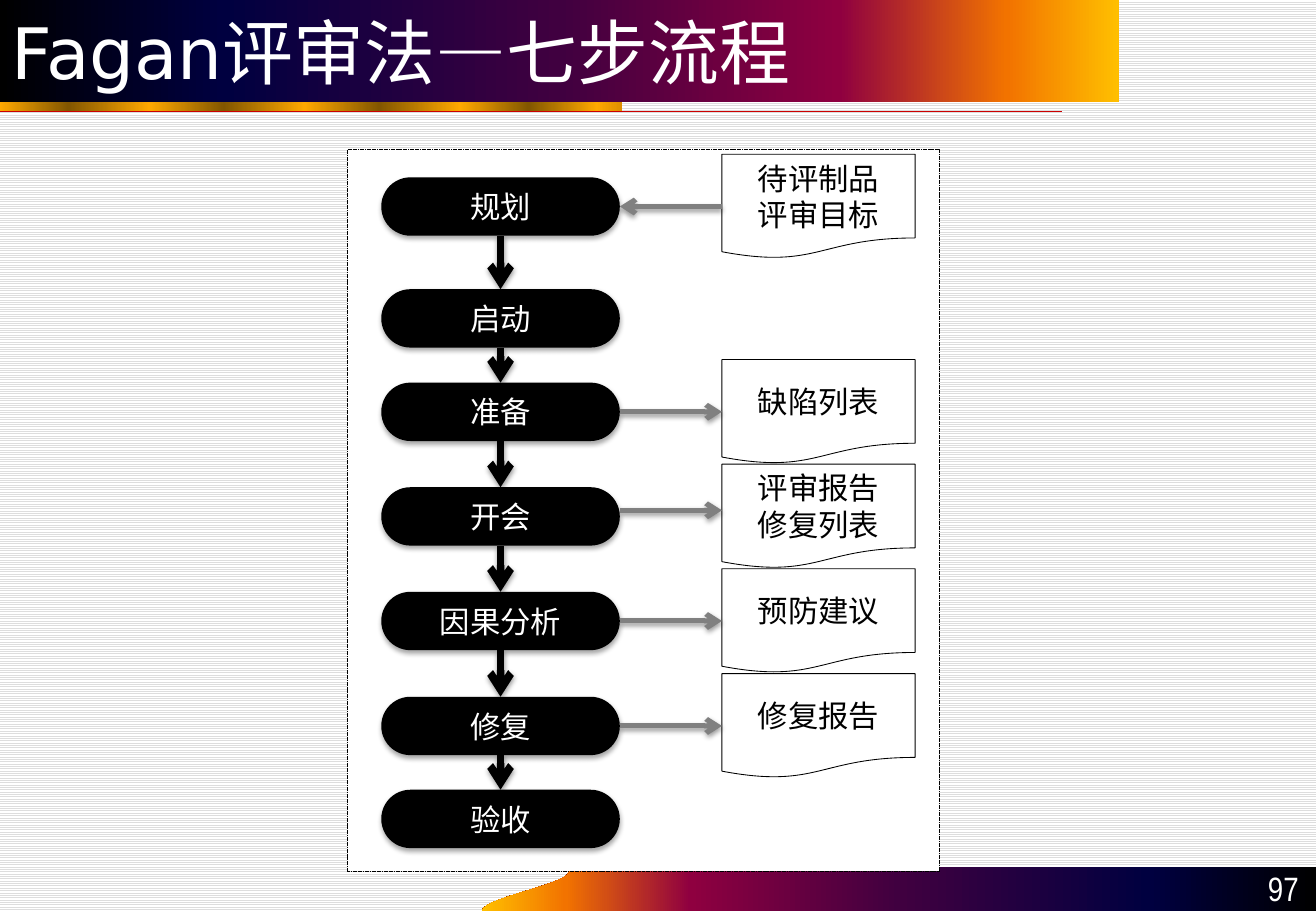
import pptx
import pptx.dml.color
import pptx.enum.dml
import pptx.enum.shapes
import pptx.enum.text
import pptx.oxml
import pptx.oxml.ns
import pptx.util
from dataclasses import dataclass

Pt = pptx.util.Pt
SHAPES = pptx.enum.shapes.MSO_SHAPE
ALIGN = pptx.enum.text.PP_ALIGN
ANCHOR = pptx.enum.text.MSO_ANCHOR
DASH = pptx.enum.dml.MSO_LINE
NS = pptx.oxml.ns.nsdecls("a")
TOP, LEFT, BOTTOM, RIGHT = range(4)


@dataclass(frozen=True)
class Theme:
    black: str = "000000"
    white: str = "FFFFFF"
    gray: str = "808080"
    red: str = "CC0000"
    stripe: str = "DDDDDD"
    sunset: tuple = ((0, "000000"), (20, "000040"), (50, "400040"),
                     (75, "8F0040"), (90, "F27300"), (100, "FFBF00"))
    gold: tuple = ((0, "FFA800"), (11, "825600"), (24, "FFA800"), (36, "825600"),
                   (49, "FFA800"), (61, "825600"), (74, "FFA800"), (85, "825600"),
                   (96, "FFA800"), (100, "DE8F00"))
    latin: str = "DejaVu Sans"
    cjk: str = "Noto Sans CJK SC"
    narrow: str = "Arial Narrow"
    title_size: float = 42
    number_size: float = 20
    body_size: float = 18


def rgb(value):
    return pptx.dml.color.RGBColor.from_string(value)


def bezier(start, control1, control2, end, steps=16):
    """Points on a cubic curve, without its start."""
    for step in range(1, steps + 1):
        t = step / steps
        weights = ((1 - t) ** 3, 3 * t * (1 - t) ** 2, 3 * t * t * (1 - t), t ** 3)
        yield tuple(sum(w * p[axis] for w, p in zip(weights, (start, control1, control2, end)))
                    for axis in (0, 1))


class Deck:
    def __init__(self, theme, width, height):
        self.theme = theme
        self.file = pptx.Presentation()
        self.file.slide_width, self.file.slide_height = Pt(width), Pt(height)
        self.slide = self.file.slides.add_slide(self.file.slide_layouts[6])

    def background(self):
        fill = self.slide.background.fill
        fill.patterned()
        fill.pattern = pptx.enum.dml.MSO_PATTERN.LIGHT_HORIZONTAL
        fill.fore_color.rgb = rgb(self.theme.stripe)
        fill.back_color.rgb = rgb(self.theme.white)

    def gradient(self, shape, stops, angle=0):
        shape.fill.gradient()
        shape.fill.gradient_angle = angle
        stop_list = next(shape.element.spPr.iter(pptx.oxml.ns.qn("a:gsLst")))
        for stop in list(stop_list):
            stop_list.remove(stop)
        for position, color in stops:
            stop_list.append(pptx.oxml.parse_xml(
                f'<a:gs {NS} pos="{position * 1000}"><a:srgbClr val="{color}"/></a:gs>'))

    def shadow(self, shape, opacity, distance):
        """Soft shadow straight below; replaces any effect list."""
        spPr = shape.element.spPr
        for effects in spPr.findall(pptx.oxml.ns.qn("a:effectLst")):
            spPr.remove(effects)
        spPr.append(pptx.oxml.parse_xml(
            f'<a:effectLst {NS}><a:outerShdw blurRad="{Pt(3.1)}" dist="{Pt(distance)}" '
            f'dir="5400000" rotWithShape="0"><a:srgbClr val="{self.theme.black}">'
            f'<a:alpha val="{opacity * 1000}"/></a:srgbClr></a:outerShdw></a:effectLst>'))

    def shape(self, kind, left, top, width, height, fill=None, line=None, weight=0.5):
        shape = self.slide.shapes.add_shape(kind, Pt(left), Pt(top), Pt(width), Pt(height))
        shape.shadow.inherit = False
        if fill:
            shape.fill.solid()
            shape.fill.fore_color.rgb = rgb(fill)
        if line:
            shape.line.color.rgb = rgb(line)
            shape.line.width = Pt(weight)
        else:
            shape.line.fill.background()
        return shape

    def freeform(self, points):
        builder = self.slide.shapes.build_freeform(*map(Pt, points[0]), scale=1.0)
        builder.add_line_segments([tuple(map(Pt, point)) for point in points[1:]], close=True)
        shape = builder.convert_to_shape()
        shape.shadow.inherit = False
        shape.line.fill.background()
        return shape

    def textbox(self, left, top, width, height):
        return self.slide.shapes.add_textbox(Pt(left), Pt(top), Pt(width), Pt(height))

    def put_text(self, shape, lines, color, size, font, align=ALIGN.CENTER,
                 anchor=ANCHOR.MIDDLE, inset=(2.88, 1.44)):
        frame = shape.text_frame
        side, edge = map(Pt, inset)
        frame_format = {"word_wrap": True, "vertical_anchor": anchor, "margin_left": side,
                        "margin_right": side, "margin_top": edge, "margin_bottom": edge}
        for name, value in frame_format.items():
            setattr(frame, name, value)
        for index, line in enumerate(lines):
            paragraph = frame.add_paragraph() if index else frame.paragraphs[0]
            paragraph.alignment = align
            run = paragraph.add_run()
            run.text = line
            for name, value in {"size": Pt(size), "name": font}.items():
                setattr(run.font, name, value)
            run.font.color.rgb = rgb(color)
        for properties in shape.element.iter(pptx.oxml.ns.qn("a:rPr")):
            properties.append(pptx.oxml.parse_xml(f'<a:ea {NS} typeface="{self.theme.cjk}"/>'))

    def line(self, start, end, color, weight):
        line = self.slide.shapes.add_connector(
            pptx.enum.shapes.MSO_CONNECTOR.STRAIGHT, *map(Pt, (*start, *end)))
        line.line.color.rgb = rgb(color)
        line.line.width = Pt(weight)
        line.element.spPr.append(pptx.oxml.parse_xml(f"<a:effectLst {NS}/>"))
        return line

    def arrow(self, start, end, color, weight):
        arrow = self.line(start, end, color, weight)
        outline = arrow.element.spPr.find(pptx.oxml.ns.qn("a:ln"))
        outline.append(pptx.oxml.parse_xml(f'<a:tailEnd {NS} type="arrow"/>'))
        self.shadow(arrow, 38, 1.6)
        return arrow


STEP_LEFT, STEP_WIDTH, STEP_HEIGHT = 226, 141.4, 34.6
DOCUMENT_LEFT, DOCUMENT_WIDTH, DOCUMENT_HEIGHT = 427.9, 114.5, 61.9
STEPS = [  # name, vertical centre, document lines
    ("规划", 122.4, ["待评制品", "评审目标"]),
    ("启动", 188.7, []),
    ("准备", 244.1, ["缺陷列表"]),
    ("开会", 306.1, ["评审报告", "修复列表"]),
    ("因果分析", 368.1, ["预防建议"]),
    ("修复", 430.3, ["修复报告"]),
    ("验收", 485.4, []),
]
INPUT_STEP = "规划"
MEETING_STEP, MEETING_LIFT = "开会", 3.6


def add_frame(deck):
    theme = deck.theme
    deck.background()
    wave_start, wave_end = (285.8, 540), (334.8, 514)
    wave = deck.freeform([wave_end, (780, 514), (780, 540), wave_start,
                          *bezier(wave_start, (285.8, 531.4), (350.6, 522), wave_end)])
    deck.gradient(wave, theme.sunset, 180)
    gold_band = deck.shape(SHAPES.RECTANGLE, 0, 54.7, 368.6, 11)
    deck.gradient(gold_band, theme.gold)
    deck.line((0, 65.9), (629.3, 65.9), theme.red, 0.75)
    title = deck.shape(SHAPES.RECTANGLE, 0, 0, 663.1, 60.5)
    deck.gradient(title, theme.sunset)
    deck.put_text(title, ["Fagan评审法—七步流程"], theme.white, theme.title_size, theme.latin,
                  ALIGN.LEFT, inset=(7.2, 3.6))
    page_number = deck.textbox(707.8, 513.4, 69.1, 28.8)
    deck.put_text(page_number, ["97"], theme.white, theme.number_size, theme.narrow,
                  ALIGN.RIGHT, ANCHOR.BOTTOM, (7.2, 3.6))


def add_process(deck):
    theme = deck.theme
    panel = deck.shape(SHAPES.RECTANGLE, 205.9, 88.6, 350.6, 427.7, theme.white, theme.black, 0.25)
    panel.line.dash_style = DASH.SQUARE_DOT
    step_middle, step_right = STEP_LEFT + STEP_WIDTH / 2, STEP_LEFT + STEP_WIDTH
    previous = None
    for name, centre, lines in STEPS:
        top = centre - STEP_HEIGHT / 2
        step = deck.shape(SHAPES.ROUNDED_RECTANGLE, STEP_LEFT, top, STEP_WIDTH, STEP_HEIGHT,
                          theme.black)
        step.adjustments[0] = 0.5
        deck.shadow(step, 35, 1.8)
        deck.put_text(step, [name], theme.white, theme.body_size, theme.cjk)
        if previous:
            descent = deck.arrow((step_middle, top), (step_middle, top), theme.black, 4.5)
            descent.begin_connect(previous, BOTTOM)
            descent.end_connect(step, TOP)
        previous = step
        if not lines:
            continue
        document = deck.shape(SHAPES.FLOWCHART_DOCUMENT, DOCUMENT_LEFT,
                              centre - DOCUMENT_HEIGHT / 2, DOCUMENT_WIDTH, DOCUMENT_HEIGHT,
                              theme.white, theme.black)
        deck.put_text(document, lines, theme.black, theme.body_size, theme.cjk)
        level = centre - (MEETING_LIFT if name == MEETING_STEP else 0)
        ends = [(step, RIGHT, (step_right, level)), (document, LEFT, (DOCUMENT_LEFT, level))]
        if name == INPUT_STEP:
            ends.reverse()
        (source, source_side, start), (target, target_side, end) = ends
        exchange = deck.arrow(start, end, theme.gray, 3)
        if name != MEETING_STEP:
            exchange.begin_connect(source, source_side)
            exchange.end_connect(target, target_side)


def main():
    deck = Deck(Theme(), 780, 540)
    add_frame(deck)
    add_process(deck)
    deck.file.save("out.pptx")


if __name__ == "__main__":
    main()
